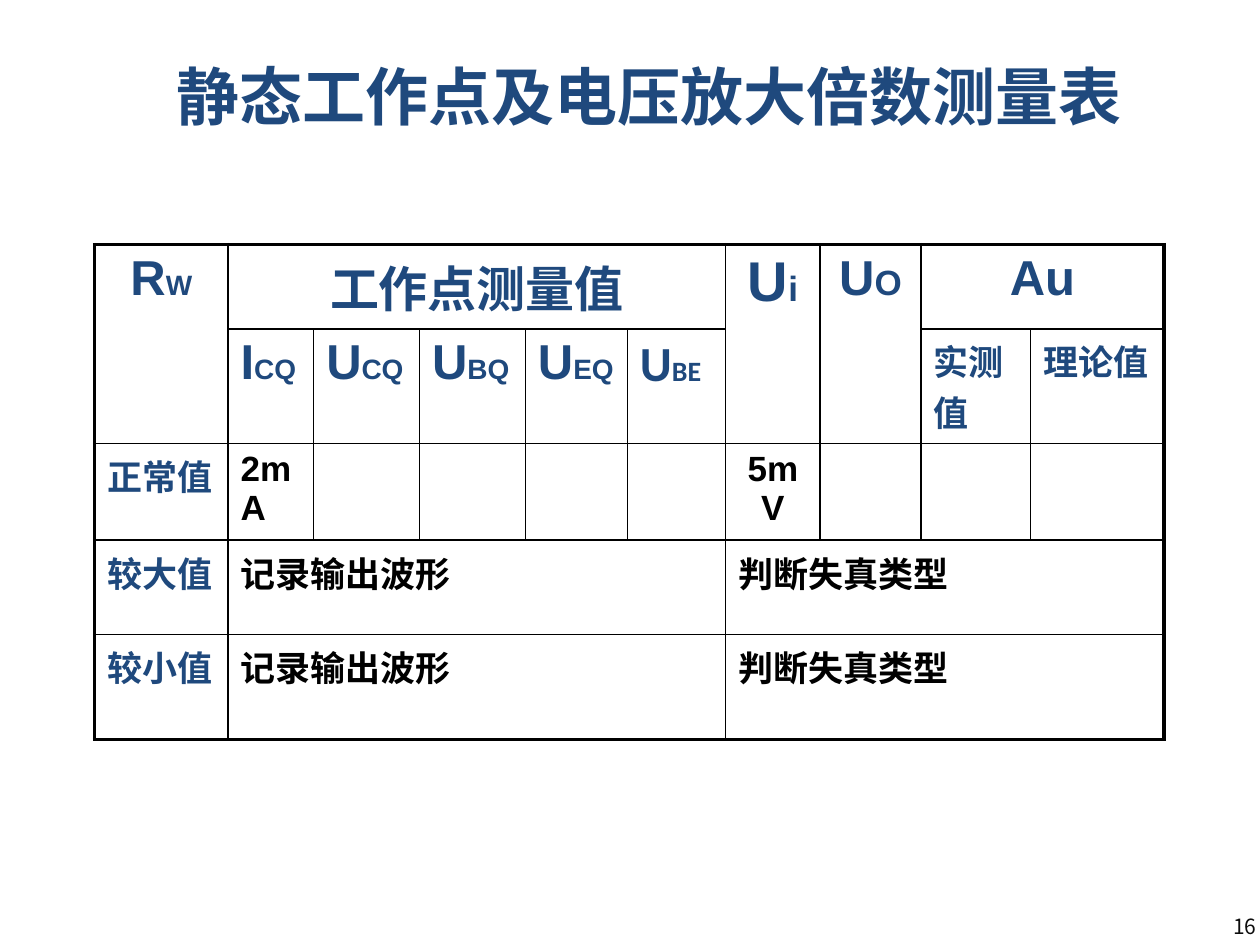
from dataclasses import dataclass

from lxml import etree
from pptx import Presentation
from pptx.dml.color import RGBColor
from pptx.enum import text as t
from pptx.oxml import ns
from pptx.util import Inches, Pt


@dataclass(frozen=True)
class Theme:
    navy: str = "1F497D"
    black: str = "000000"
    grey: str = "0D0D0D"
    latin: str = "Arial"
    heading: str = "Calibri"
    chinese: str = "Noto Sans CJK SC"
    title: int = 36
    symbol_large: int = 32
    symbol: int = 28
    label: int = 20
    subscript: int = 16
    number: int = 12
    frame: float = 2.25
    rule: float = 1


THEME = Theme()


@dataclass(frozen=True)
class Entry:
    """One filled table cell: its (text, size) spans and its look."""
    spans: tuple
    rows: int = 1
    columns: int = 1
    colour: str = THEME.navy
    font: str = THEME.latin
    centred: bool = False


def symbol(letter, index, size=THEME.symbol, index_size=THEME.subscript, **look):
    return Entry(((letter, size), (index, index_size)), **look)


def label(words, size=THEME.label, **look):
    return Entry(((words, size),), **look)


COLUMNS = (1.06, 0.68, 0.84, 0.84, 0.81, 0.78, 0.75, 0.8, 0.87, 1.06)
ROWS = (0.67, 0.91, 0.75, 0.75, 0.83)  # the second row holds a two-line label
ENTRIES = {
    (0, 0): symbol("R", "W", rows=2, centred=True),
    (0, 1): label("工作点测量值", THEME.symbol, columns=5, centred=True),
    (0, 6): symbol("U", "i", THEME.symbol_large, THEME.label, rows=2, centred=True),
    (0, 7): symbol("U", "O", index_size=THEME.label, rows=2, centred=True),
    (0, 8): label("Au", THEME.symbol, columns=2, centred=True),
    (1, 1): symbol("I", "CQ"),
    (1, 2): symbol("U", "CQ"),
    (1, 3): symbol("U", "BQ"),
    (1, 4): symbol("U", "EQ"),
    (1, 5): symbol("U", "BE", font=THEME.heading),
    (1, 8): label("实测值"),
    (1, 9): label("理论值"),
    (2, 0): label("正常值"),
    (2, 1): label("2mA", colour=THEME.black),
    (2, 6): label("5mV", colour=THEME.black, centred=True),
}
for row, heading in ((3, "较大值"), (4, "较小值")):
    ENTRIES[row, 0] = label(heading)
    ENTRIES[row, 1] = label("记录输出波形", columns=5, colour=THEME.black)
    ENTRIES[row, 6] = label("判断失真类型", columns=4, colour=THEME.black)


def write(para, spans, font, colour, bold=True, centred=False):
    """Fill a paragraph with (text, size) spans that share one typeface."""
    para.alignment = t.PP_ALIGN.CENTER if centred else t.PP_ALIGN.LEFT
    para.font.name = font
    para.font.bold = bold
    para.font.color.rgb = RGBColor.from_string(colour)
    defaults = para._p.pPr.find(ns.qn("a:defRPr"))
    etree.SubElement(defaults, ns.qn("a:ea"), typeface=THEME.chinese)
    if len(spans) == 1:
        para.font.size = Pt(spans[0][1])
    for words, size in spans:
        span = para.add_run()
        span.text = words
        if len(spans) > 1:
            span.font.size = Pt(size)


def add_text(page, box, words, size, font, colour, **look):
    frame = page.shapes.add_textbox(*map(Inches, box)).text_frame
    frame.word_wrap = True
    frame.vertical_anchor = t.MSO_ANCHOR.MIDDLE
    write(frame.paragraphs[0], ((words, size),), font, colour, **look)


def draw_borders(cell, widths):
    """Add cell edges; widths are points for left, right, top and bottom."""
    properties = cell._tc.get_or_add_tcPr()
    for edge, width in zip(("lnL", "lnR", "lnT", "lnB"), widths):
        line = etree.SubElement(properties, ns.qn(f"a:{edge}"), w=str(Pt(width)))
        fill = etree.SubElement(line, ns.qn("a:solidFill"))
        etree.SubElement(fill, ns.qn("a:srgbClr"), val=THEME.black)


def add_measurements(page, box):
    table = page.shapes.add_table(len(ROWS), len(COLUMNS), *map(Inches, box)).table
    table.first_row = table.horz_banding = False
    for column, width in zip(table.columns, COLUMNS):
        column.width = Inches(width)
    for row, height in zip(table.rows, ROWS):
        row.height = Inches(height)

    for (top, left), entry in ENTRIES.items():
        cell = table.cell(top, left)
        if entry.rows > 1 or entry.columns > 1:
            cell.merge(table.cell(top + entry.rows - 1, left + entry.columns - 1))
        write(cell.text_frame.paragraphs[0], entry.spans, entry.font,
              entry.colour, centred=entry.centred)

    for top in range(len(ROWS)):
        for left in range(len(COLUMNS)):
            cell = table.cell(top, left)
            if not cell.is_spanned:
                entry = ENTRIES.get((top, left), Entry(()))
                outer = (left == 0, left + entry.columns == len(COLUMNS),
                         top == 0, top + entry.rows == len(ROWS))
                draw_borders(cell, [THEME.frame if edge else THEME.rule
                                    for edge in outer])
            cell.fill.background()


def main():
    deck = Presentation()
    deck.slide_width, deck.slide_height = Inches(10), Inches(7.5)
    page = deck.slides.add_slide(deck.slide_layouts[6])
    add_text(page, (9.69, 7.2, 0.8, 0.3), "16", THEME.number,
             THEME.chinese, THEME.grey, bold=False)
    add_text(page, (0.9, 0.13, 8.5, 1.25), "静态工作点及电压放大倍数测量表",
             THEME.title, THEME.heading, THEME.navy, centred=True)
    add_measurements(page, (0.75, 1.94, sum(COLUMNS), sum(ROWS)))
    deck.save("out.pptx")


if __name__ == "__main__":
    main()
